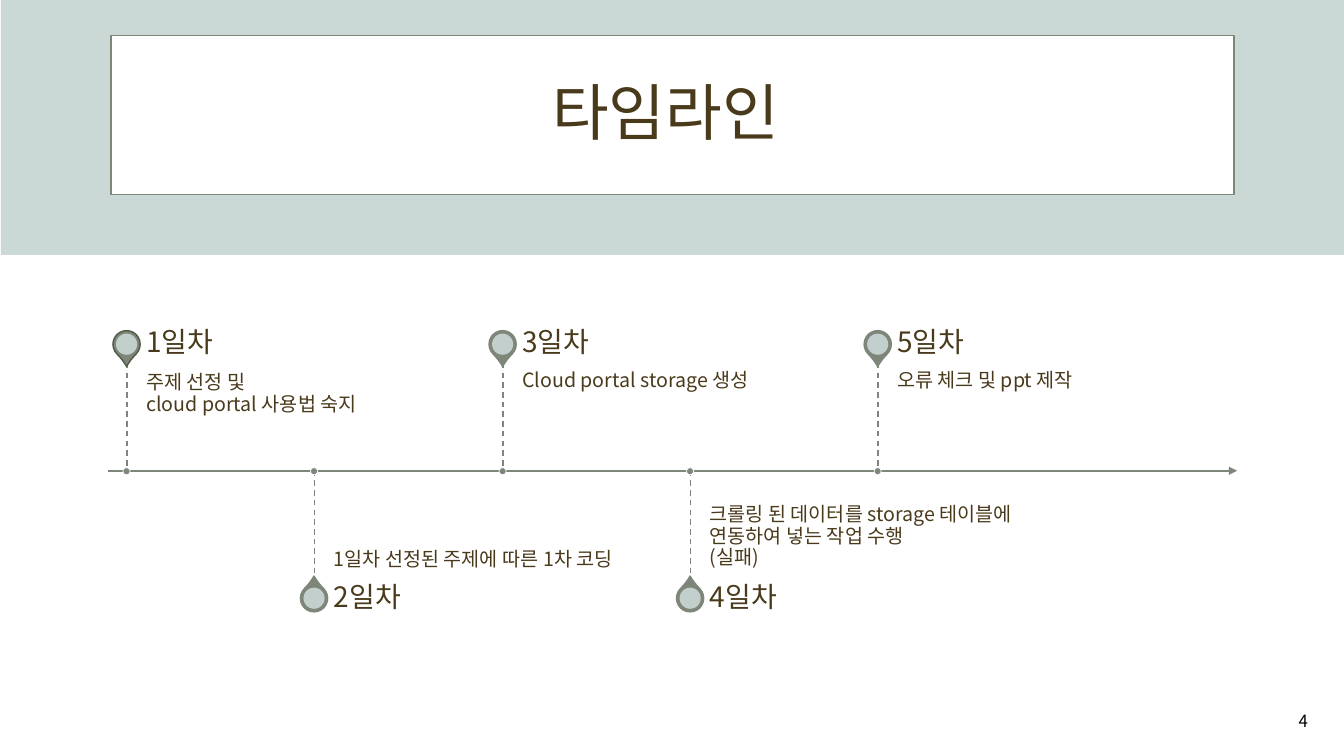
from lxml.etree import SubElement
from pptx import Presentation
from pptx.dml.color import RGBColor
from pptx.enum.dml import MSO_LINE
from pptx.enum.shapes import MSO_CONNECTOR, MSO_SHAPE
from pptx.enum.text import MSO_ANCHOR, PP_ALIGN
from pptx.oxml.ns import qn
from pptx.util import Pt

PX = 9144
FONT = "Noto Sans CJK KR"
MINT = RGBColor(0xCA, 0xD8, 0xD6)
SAGE = RGBColor(0x7E, 0x86, 0x79)
DARK_SAGE = RGBColor(0x4F, 0x59, 0x45)
BROWN = RGBColor(0x4A, 0x3A, 0x1C)
WHITE = RGBColor(0xFF, 0xFF, 0xFF)
BLACK = RGBColor(0, 0, 0)

AXIS_Y = 467
FIRST_X = 126
DAY_STEP = 186.3
DAYS = [
    ("1일차", "주제 선정 및 \vcloud portal 사용법 숙지"),
    ("2일차", "1일차 선정된 주제에 따른 1차 코딩"),
    ("3일차", "Cloud portal storage 생성"),
    ("4일차", "크롤링 된 데이터를 storage 테이블에 연동하여 넣는 작업 수행\v(실패)"),
    ("5일차", "오류 체크 및 ppt 제작"),
]

deck = Presentation()
deck.slide_width = 1333 * PX
deck.slide_height = 750 * PX
page = deck.slides.add_slide(deck.slide_layouts[6])


def add_figure(kind, left, top, width, height, fill, line=None, weight=1):
    figure = page.shapes.add_shape(kind, left * PX, top * PX, width * PX, height * PX)
    figure.shadow.inherit = False
    figure.fill.solid()
    figure.fill.fore_color.rgb = fill
    if line is None:
        figure.line.fill.background()
    else:
        figure.line.color.rgb = line
        figure.line.width = Pt(weight)
    return figure


def add_text(text, left, top, width, height, size, color=BROWN, align=PP_ALIGN.LEFT,
             anchor=MSO_ANCHOR.MIDDLE, insets=(10, 5, 10, 5), spacing=0.9):
    box = page.shapes.add_textbox(left * PX, top * PX, width * PX, height * PX)
    frame = box.text_frame
    frame.word_wrap = True
    frame.vertical_anchor = anchor
    frame.margin_left, frame.margin_top, frame.margin_right, frame.margin_bottom = (
        inset * PX for inset in insets)
    para = frame.paragraphs[0]
    para.text = text
    para.alignment = align
    para.line_spacing = spacing
    for span in para.runs:
        span.font.size = Pt(size)
        span.font.name = FONT
        span.font.color.rgb = color
        SubElement(span.font._element, qn("a:ea"), typeface=FONT)


add_figure(MSO_SHAPE.RECTANGLE, 1, 0, 1333, 253, MINT)
add_figure(MSO_SHAPE.RECTANGLE, 110, 35, 1114, 158, WHITE, SAGE)
add_text("타임라인 ", 42, 42, 1250, 145, 44, align=PP_ALIGN.CENTER)
add_text("4", 1007, 695, 300, 40, 12, BLACK, PP_ALIGN.RIGHT, spacing=1.0)

day_centers = [FIRST_X + round(index * DAY_STEP) for index in range(len(DAYS))]
lines = [(107, AXIS_Y, 1227, AXIS_Y)]
for index, center in enumerate(day_centers):
    lines.append((center, 360, center, AXIS_Y) if index % 2 == 0 else (center, AXIS_Y, center, 575))

for start_x, start_y, end_x, end_y in lines:
    connector = page.shapes.add_connector(
        MSO_CONNECTOR.STRAIGHT, start_x * PX, start_y * PX, end_x * PX, end_y * PX)
    connector.line.color.rgb = SAGE
    if start_y == end_y:
        connector.line.width = Pt(1.5)
        SubElement(connector.line._get_or_add_ln(), qn("a:tailEnd"), type="triangle")
    else:
        connector.line.width = Pt(1)
        connector.line.dash_style = MSO_LINE.DASH
    SubElement(connector._element.spPr, qn("a:effectLst"))

for index, (center, (day, task)) in enumerate(zip(day_centers, DAYS)):
    above = index % 2 == 0
    pin_top = 328 if above else 580
    text_left = center + 19

    pin = add_figure(MSO_SHAPE.TEAR, center - 14, pin_top, 27, 27, SAGE,
                     DARK_SAGE if index == 0 else SAGE)
    pin.adjustments[0] = 1.15
    pin.rotation = 135 if above else 315
    eye = add_figure(MSO_SHAPE.OVAL, center - 11, pin_top + 3, 21, 21, MINT)
    SubElement(eye.fill._xPr.find(".//" + qn("a:srgbClr")), qn("a:alpha"), val="90000")

    if above:
        add_text(task, text_left, 360, 310, 107, 14, anchor=MSO_ANCHOR.TOP, insets=(0, 10, 10, 15))
    else:
        add_text(task, text_left, AXIS_Y, 310, 107, 14, anchor=MSO_ANCHOR.BOTTOM, insets=(0, 15, 0, 10))
    add_text(day, text_left, 322 if above else 575, 310, 38, 20, insets=(0, 0, 14, 0))
    add_figure(MSO_SHAPE.OVAL, center - 4, AXIS_Y - 3, 7, 7, SAGE, WHITE, 0.5)

deck.save("out.pptx")
